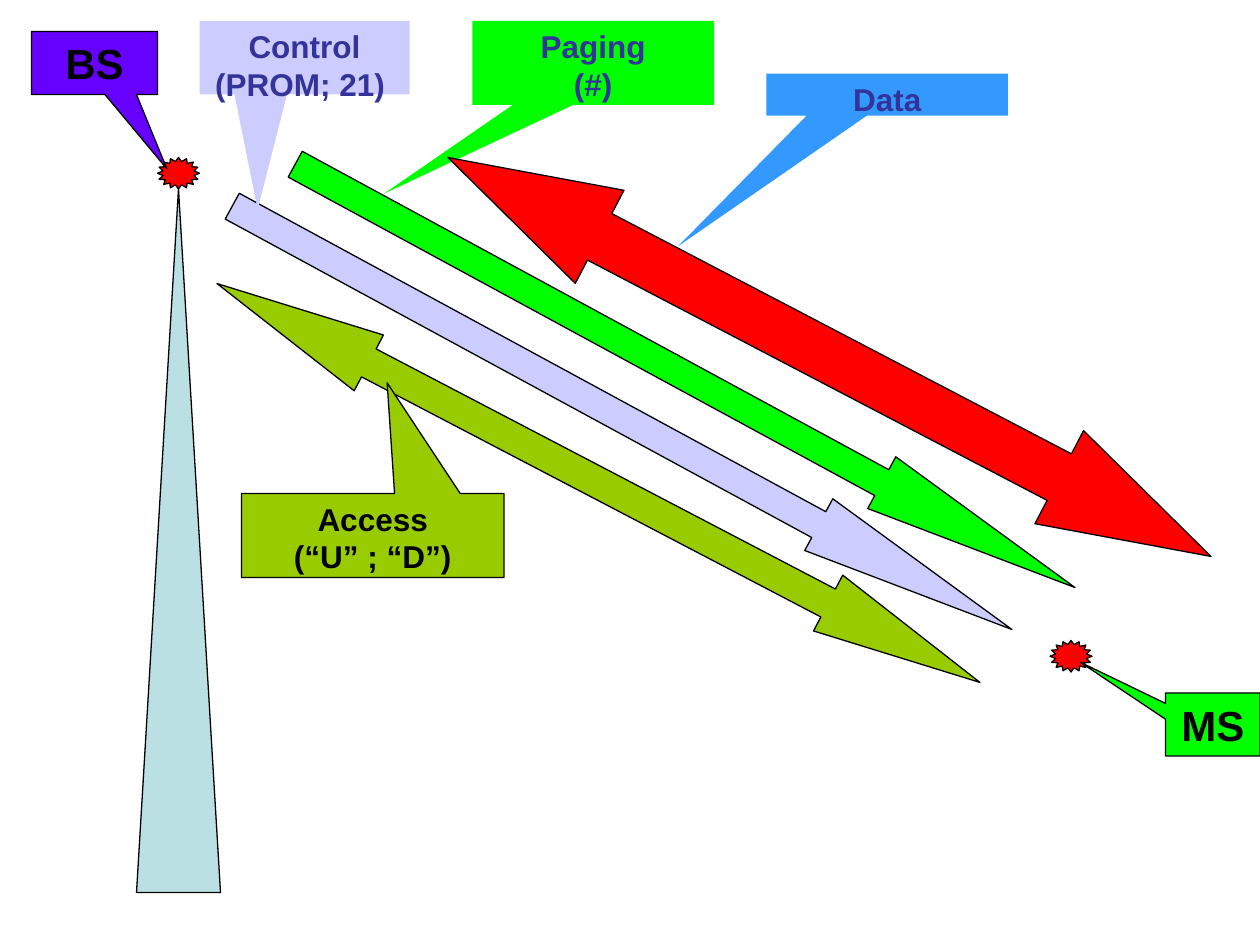
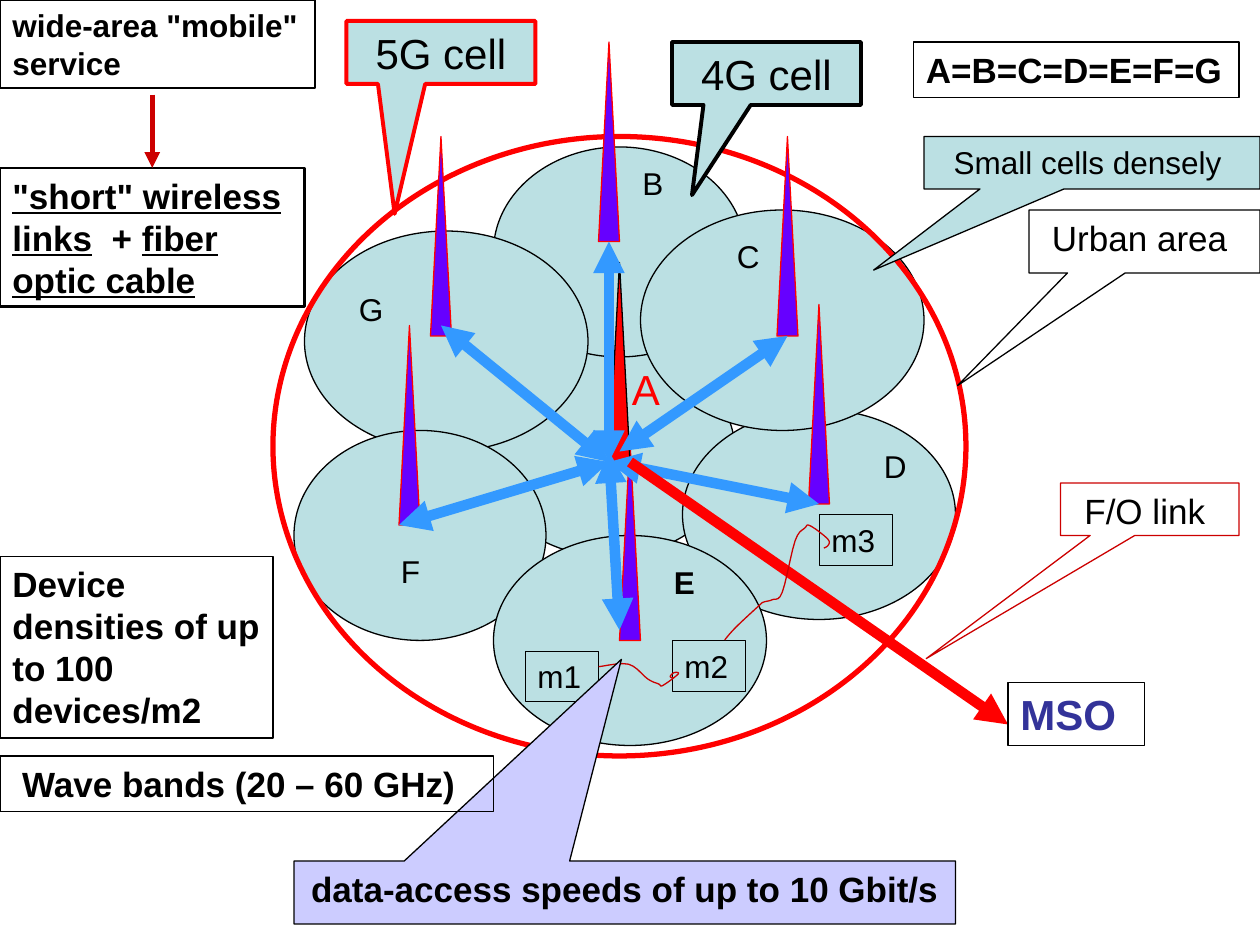
from dataclasses import dataclass

from lxml import etree
from pptx import Presentation
from pptx.dml.color import RGBColor
from pptx.enum.shapes import MSO_CONNECTOR, MSO_SHAPE
from pptx.enum.text import MSO_ANCHOR, PP_ALIGN
from pptx.oxml.ns import qn
from pptx.shapes.autoshape import Shape
from pptx.shapes.connector import Connector
from pptx.slide import Slide
from pptx.text.text import Font
from pptx.util import Cm, Length, Pt

RECT = MSO_SHAPE.RECTANGLE
OVAL = MSO_SHAPE.OVAL
SPIRE = MSO_SHAPE.ISOSCELES_TRIANGLE
STAR = MSO_SHAPE.STAR_16_POINT
CALL = MSO_SHAPE.RECTANGULAR_CALLOUT
ARROW = MSO_SHAPE.RIGHT_ARROW
DUAL = MSO_SHAPE.LEFT_RIGHT_ARROW
STRAIGHT = MSO_CONNECTOR.STRAIGHT
LEFT, CENTER = PP_ALIGN.LEFT, PP_ALIGN.CENTER
TOP = MSO_ANCHOR.TOP


@dataclass(frozen=True)
class Theme:
    font: str = "Arial"
    black: str = "000000"
    red: str = "FF0000"
    wine: str = "CC0000"
    green: str = "00FF00"
    olive: str = "99CC00"
    blue: str = "3399FF"
    navy: str = "333399"
    violet: str = "6600FF"
    lilac: str = "CCCCFF"
    aqua: str = "BBE0E3"
    small: int = 18
    mid: int = 20
    large: int = 24
    hair: float = 0.25
    thin: float = 0.75
    plain: float = 1
    firm: float = 1.5
    bold: float = 2.25
    thick: float = 3
    heavy: float = 6


T = Theme()


@dataclass(frozen=True)
class Part:
    kind: MSO_SHAPE | None
    box: tuple[float, float, float, float]
    fill: str | None = None
    line: str | None = T.black
    width: float = T.thin
    adj: tuple[float, ...] = ()
    turn: float = 0
    text: str = ""
    size: int = T.small
    ink: str = T.black
    bold: bool = False
    align: PP_ALIGN = CENTER


@dataclass(frozen=True)
class Link:
    start: tuple[float, float]
    end: tuple[float, float]
    color: str = T.blue
    width: float = T.heavy
    both: bool = True


def step(count: float) -> Length:
    return Cm(count * 2.54 / 12)


def tint(code: str) -> RGBColor:
    return RGBColor.from_string(code)


def style(font: Font, part: Part) -> None:
    font.name = T.font
    font.size = Pt(part.size)
    font.bold = part.bold
    font.color.rgb = tint(part.ink)


def write(shape: Shape, part: Part) -> None:
    frame = shape.text_frame
    frame.word_wrap = True
    frame.vertical_anchor = TOP
    frame.text = part.text
    for para in frame.paragraphs:
        para.alignment = part.align
        for run in para.runs:
            style(run.font, part)


def stroke(shape: Shape, color: str | None, width: float) -> None:
    if color:
        shape.line.color.rgb = tint(color)
        shape.line.width = Pt(width)
    else:
        shape.line.fill.background()


def draw(slide: Slide, part: Part) -> Shape:
    box = [step(n) for n in part.box]
    if part.kind is None:
        shape = slide.shapes.add_textbox(*box)
    else:
        shape = slide.shapes.add_shape(part.kind, *box)
        shape.shadow.inherit = False
        shape.rotation = part.turn
        for spot, value in enumerate(part.adj):
            shape.adjustments[spot] = value
        if part.fill:
            shape.fill.solid()
            shape.fill.fore_color.rgb = tint(part.fill)
        else:
            shape.fill.background()
        stroke(shape, part.line, part.width)
    if part.text:
        write(shape, part)
    return shape


def join(slide: Slide, link: Link) -> Connector:
    ends = [step(n) for n in link.start + link.end]
    wire = slide.shapes.add_connector(STRAIGHT, *ends)
    wire.line.color.rgb = tint(link.color)
    wire.line.width = Pt(link.width)
    props = wire.line._get_or_add_ln()
    for tip in ("a:headEnd", "a:tailEnd") if link.both else ("a:tailEnd",):
        etree.SubElement(props, qn(tip), type="triangle")
    etree.SubElement(wire._element.spPr, qn("a:effectLst"))
    return wire


def blend(a: float, b: float, c: float, d: float, t: float) -> float:
    return b + t / 2 * (
        c - a + t * (2 * a - 5 * b + 4 * c - d + t * (3 * (b - c) + d - a))
    )


def curve(slide: Slide, knots: list[tuple[float, float]]) -> None:
    ring = [knots[0], *knots, knots[-1]]
    dots = [
        tuple(Cm(blend(*axis, n / 5)) for axis in zip(*ring[i:i + 4]))
        for i in range(len(knots) - 1)
        for n in range(1, 6)
    ]
    pen = slide.shapes.build_freeform(Cm(knots[0][0]), Cm(knots[0][1]))
    pen.add_line_segments(dots, close=False)
    shape = pen.convert_to_shape()
    shape.shadow.inherit = False
    shape.fill.background()
    stroke(shape, T.wine, T.thin)


def call(box: tuple, adj: tuple, text: str, **look) -> Part:
    return Part(CALL, box, adj=adj, text=text, **look)


def note(box: tuple, text: str, **look) -> Part:
    return Part(RECT, box, text=text, align=LEFT, **look)


def down(left: float, top: float, fill: str) -> Part:
    return Part(ARROW, (left, top, 84.5, 5.6), fill,
                adj=(0.5, 3.74), turn=28.5)


def span(box: tuple, fill: str, head: float) -> Part:
    return Part(DUAL, box, fill, adj=(0.5, head), turn=27.6)


TAG = dict(line=None, ink=T.navy, bold=True)
LOUD = dict(size=T.large, bold=True)
FACT = dict(size=T.mid, bold=True, width=T.plain)

RADIO = [
    Part(SPIRE, (13, 18, 8, 67), T.aqua),
    Part(STAR, (15, 15, 4, 3), T.red),
    call((3, 3, 12, 6), (0.575, 1.681), "BS", fill=T.violet, **LOUD),
    Part(STAR, (100, 61, 4, 3), T.red),
    call((111, 66, 9, 6), (-1.4, -0.986), "MS", fill=T.green, **LOUD),
    down(17, 37, T.lilac),
    call((19, 2, 20, 7), (-0.223, 2.065), "Control\n(PROM; 21) ",
         fill=T.lilac, **TAG),
    span((16, 43, 82, 6), T.olive, 2.72),
    call((23, 47, 25, 8), (0.055, -1.818), "Access\n(“U” ; “D”)",
         fill=T.olive, bold=True),
    down(23, 33, T.green),
    call((45, 2, 23, 8), (-0.867, 1.557), "Paging\n(#)",
         fill=T.green, **TAG),
    span((38, 29, 82, 10), T.red, 1.63),
    call((73, 7, 23, 4), (-0.867, 3.615), "Data", fill=T.blue, **TAG),
]

CELLS = [
    (46, 33, 24, 20), (47, 14, 24, 20), (65, 39, 26, 20), (29, 22, 27, 21),
    (28, 41, 24, 20), (47, 51, 26, 20), (61, 20, 27, 21),
]
MASTS = [(38, 31), (57, 4), (41, 13), (59, 42), (77, 29), (74, 13)]
HUB = (58, 44)
LINKS = [
    Link((58, 43), (59, 60)),
    Link((59, 43), (75, 32)),
    Link((58, 23), HUB),
    Link((38, 50), HUB),
    Link((42, 31), HUB),
    Link(HUB, (78, 48)),
    Link((60, 44), (96, 69), T.red, both=False),
]
NAMES = [
    ("G", 33, 27), ("F", 37, 52), ("E", 63, 53),
    ("D", 83, 42), ("C", 69, 22), ("B", 60, 15),
]
UNITS = [("m1", 50, 62), ("m2", 64, 61), ("m3", 78, 49)]
WIRES = [
    [(12.07, 13.44), (12.67, 13.39), (13.06, 13.69), (13.28, 13.79),
     (13.36, 13.82), (13.67, 13.59), (13.59, 13.56), (13.51, 13.64),
     (13.59, 13.67)],
    [(14.61, 12.9), (14.83, 12.65), (15.29, 12.22), (15.39, 12.14),
     (15.57, 12.09), (15.77, 11.94), (16.03, 10.9), (16.23, 10.64),
     (16.31, 10.59), (16.54, 10.74), (16.71, 10.9), (16.69, 11),
     (16.61, 11.05)],
]
AREA = [
    note((96, 65, 13, 6), "MSO", ink=T.navy, width=T.plain, **LOUD),
    call((98, 20, 22, 6), (-0.809, 2.288), "Urban area ", size=T.mid),
    call((88, 13, 32, 5), (-0.65, 2.046), "Small cells densely ",
         fill=T.aqua),
    call((101, 46, 17, 5), (-1.252, 2.846), "F/O link ",
         line=T.wine, size=T.mid),
    Part(None, (59, 34, 5, 6), text="A", size=T.large, ink=T.red,
         align=LEFT),
    note((87, 4, 31, 5.3), "A=B=C=D=E=F=G", **FACT),
]
FACTS = [
    note((0, 0, 30, 8.4), 'wide-area "mobile" service',
         bold=True, width=T.firm),
    call((28, 82, 63, 6), (-0.005, -3.701),
         "data-access speeds of up to 10 Gbit/s ",
         fill=T.lilac, size=T.mid, bold=True),
    note((0, 72, 47, 5.3), " Wave bands (20 – 60 GHz)", **FACT),
    note((0, 53, 26, 17.3), "Device densities of up to 100 devices/m2",
         **FACT),
    call((64, 4, 18, 6), (-0.394, 1.931), "4G cell",
         fill=T.aqua, width=T.bold, size=T.large),
    call((33, 2, 18, 6), (-0.245, 2.562), "5G cell",
         fill=T.aqua, line=T.red, width=T.bold, size=T.large),
]


def short(slide: Slide) -> None:
    part = note((0, 16, 29, 13.2), '"short" wireless links',
                size=T.mid, bold=True, width=T.firm)
    box = draw(slide, part)
    para = box.text_frame.paragraphs[0]
    para.runs[0].font.underline = True
    for text, under in (("  + ", False), ("fiber optic cable", True)):
        run = para.add_run()
        run.text = text
        style(run.font, part)
        run.font.underline = under
    drop = Link((14.5, 9), (14.5, 16), T.wine, T.thick, both=False)
    join(slide, drop).end_connect(box, 0)


def radio(slide: Slide) -> None:
    for part in RADIO:
        draw(slide, part)


def area(slide: Slide) -> None:
    parts = [Part(OVAL, box, T.aqua) for box in CELLS]
    parts.append(Part(OVAL, (26, 13, 66, 59), line=T.red, width=T.thick))
    parts += [Part(SPIRE, (x, y, 2, 19), T.violet, T.red) for x, y in MASTS]
    parts.append(Part(SPIRE, (58, 25, 2, 19), T.red))
    for part in parts:
        draw(slide, part)
    for link in LINKS:
        join(slide, link)
    names = [Part(None, (x, y, 5 if name in "BD" else 4, 4.8), text=name,
                  bold=name == "E", align=LEFT) for name, x, y in NAMES]
    units = [note((x, y, 7, 4.8), name, width=T.hair) for name, x, y in UNITS]
    for part in AREA + names + units:
        draw(slide, part)
    for knots in WIRES:
        curve(slide, knots)
    for part in FACTS:
        draw(slide, part)
    short(slide)


def main() -> None:
    deck = Presentation()
    deck.slide_width, deck.slide_height = Cm(25.4), Cm(19.05)
    for build in (radio, area):
        build(deck.slides.add_slide(deck.slide_layouts[6]))
    deck.save("out.pptx")


if __name__ == "__main__":
    main()
